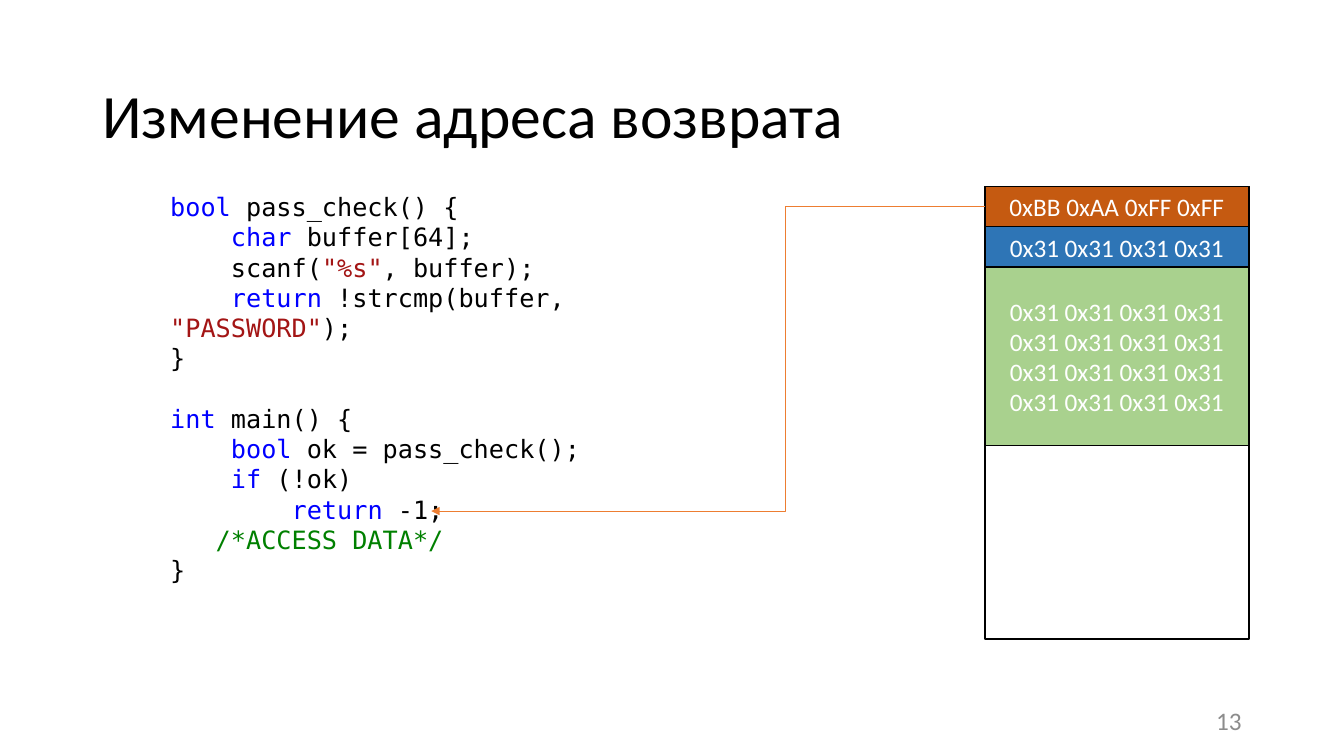
from dataclasses import dataclass

from lxml import etree
from pptx import Presentation
from pptx import util as u
from pptx.dml import color
from pptx.enum import shapes, text
from pptx.oxml import ns

COLUMNS, ROWS = 80, 45
SANS, MONO = "Calibri", "DejaVu Sans Mono"
BLACK, WHITE, GREY = "000000", "FFFFFF", "8C8C8C"
KEYWORD, STRING, COMMENT = "0000FF", "A31515", "008000"
CODE_SIZE, CODE_LEADING, CHARACTER_WIDTH = 18, 21.6, 10.84
STACK_LEFT, STACK_TOP, STACK_WIDTH, STACK_HEIGHT = 58.62, 11.1, 15.72, 26.94
FILLER = "0x31 0x31 0x31 0x31"


@dataclass(frozen=True)
class Box:
    left: float
    top: float
    width: float
    height: float


@dataclass(frozen=True)
class StackCell:
    content: str
    rows: float
    fill: str


@dataclass(frozen=True)
class CodeLine:
    indent: int
    pieces: tuple[tuple[str, str], ...]
    blank_lines_before: int = 0


STACK = (
    StackCell("0xBB 0xAA 0xFF 0xFF", 2.4, "C55A11"),
    StackCell(FILLER, 2.4, "2E75B6"),
    StackCell(f"{FILLER}\v{FILLER}\n{FILLER}\n{FILLER}", 10.62, "A9D18E"),
)

CODE = (
    CodeLine(0, (("bool", KEYWORD), (" pass_check() {", BLACK))),
    CodeLine(4, (("char", KEYWORD), (" buffer[64];", BLACK))),
    CodeLine(4, (("scanf(", BLACK), ('"%s"', STRING), (", buffer);", BLACK))),
    CodeLine(4, (("return", KEYWORD), (" !strcmp(buffer, ", BLACK),
                 ('"PASSWORD"', STRING), (");", BLACK))),
    CodeLine(0, (("}", BLACK),)),
    CodeLine(0, (("int", KEYWORD), (" main() {", BLACK)), 1),
    CodeLine(4, (("bool", KEYWORD), (" ok = pass_check();", BLACK))),
    CodeLine(4, (("if", KEYWORD), (" (!ok)", BLACK))),
    CodeLine(8, (("return", KEYWORD), (" -1;", BLACK))),
    CodeLine(3, (("/*ACCESS DATA*/", COMMENT),)),
    CodeLine(0, (("}", BLACK),)),
)

presentation = Presentation()
presentation.slide_width = u.Inches(13.33)
presentation.slide_height = u.Inches(7.5)
slide = presentation.slides.add_slide(presentation.slide_layouts[6])


def x(columns: float) -> int:
    return round(presentation.slide_width * columns / COLUMNS)


def y(rows: float) -> int:
    return round(presentation.slide_height * rows / ROWS)


def place(box: Box) -> tuple[int, int, int, int]:
    return x(box.left), y(box.top), x(box.width), y(box.height)


def paint(target, value: str) -> None:
    if hasattr(target, "solid"):
        target.solid()
        target = target.fore_color
    target.rgb = color.RGBColor.from_string(value)


def write(shape, content: str, size: float, colour: str, alignment) -> None:
    frame = shape.text_frame
    frame.word_wrap = True
    frame.vertical_anchor = text.MSO_ANCHOR.MIDDLE
    frame.text = content
    for paragraph in frame.paragraphs:
        paragraph.alignment = alignment
        paragraph.font.name = SANS
        paragraph.font.size = u.Pt(size)
        paint(paragraph.font.color, colour)


def add_label(box: Box, content: str, size: float, colour: str, alignment) -> None:
    write(slide.shapes.add_textbox(*place(box)), content, size, colour, alignment)


def add_code(box: Box) -> None:
    frame = slide.shapes.add_textbox(*place(box)).text_frame
    frame.word_wrap = True
    for number, line in enumerate(CODE):
        paragraph = frame.add_paragraph() if number else frame.paragraphs[0]
        paragraph.font.name = MONO
        paragraph.font.size = u.Pt(CODE_SIZE)
        paragraph.line_spacing = u.Pt(CODE_LEADING)
        paragraph.space_before = u.Pt(CODE_LEADING * line.blank_lines_before)
        properties = paragraph._p.get_or_add_pPr()
        properties.set("marL", "0")
        properties.set("indent", str(u.Pt(CHARACTER_WIDTH * line.indent)))
        for content, colour in line.pieces:
            run = paragraph.add_run()
            run.text = content
            paint(run.font.color, colour)


def add_rectangle(box: Box):
    shape = slide.shapes.add_shape(shapes.MSO_SHAPE.RECTANGLE, *place(box))
    shape.shadow.inherit = False
    shape.fill.background()
    paint(shape.line.color, BLACK)
    shape.line.width = u.Pt(1)
    return shape


def add_stack() -> list:
    add_rectangle(Box(STACK_LEFT, STACK_TOP, STACK_WIDTH, STACK_HEIGHT))
    cells = []
    top = STACK_TOP
    for cell in STACK:
        shape = add_rectangle(Box(STACK_LEFT, top, STACK_WIDTH, cell.rows))
        paint(shape.fill, cell.fill)
        write(shape, cell.content, 18, WHITE, text.PP_ALIGN.CENTER)
        cells.append(shape)
        top += cell.rows
    return cells


def add_return_arrow(source, column: float, row: float, bend: float) -> None:
    arrow = slide.shapes.add_connector(
        shapes.MSO_CONNECTOR.ELBOW,
        source.left, source.top + source.height // 2, x(column), y(row))
    arrow.begin_connect(source, 1)
    paint(arrow.line.color, "ED7D31")
    arrow.line.width = u.Pt(0.5)
    properties = arrow._element.spPr
    guides = properties.find(ns.qn("a:prstGeom")).get_or_add_avLst()
    etree.SubElement(guides, ns.qn("a:gd"), name="adj1", fmla=f"val {round(bend * 100000)}")
    etree.SubElement(properties.find(ns.qn("a:ln")), ns.qn("a:tailEnd"), type="triangle")
    etree.SubElement(properties, ns.qn("a:effectLst"))


def main() -> None:
    add_label(Box(5.5, 2.4, 69, 8.7), "Изменение адреса возврата", 44, BLACK,
              text.PP_ALIGN.LEFT)
    add_label(Box(56.5, 41.7, 18, 2.4), "13", 18, GREY, text.PP_ALIGN.RIGHT)
    add_code(Box(9.54, 11.1, 34.14, 22.44))
    return_address = add_stack()[0]
    add_return_arrow(return_address, 25.68, 30.42, 0.36)
    presentation.save("out.pptx")


if __name__ == "__main__":
    main()
